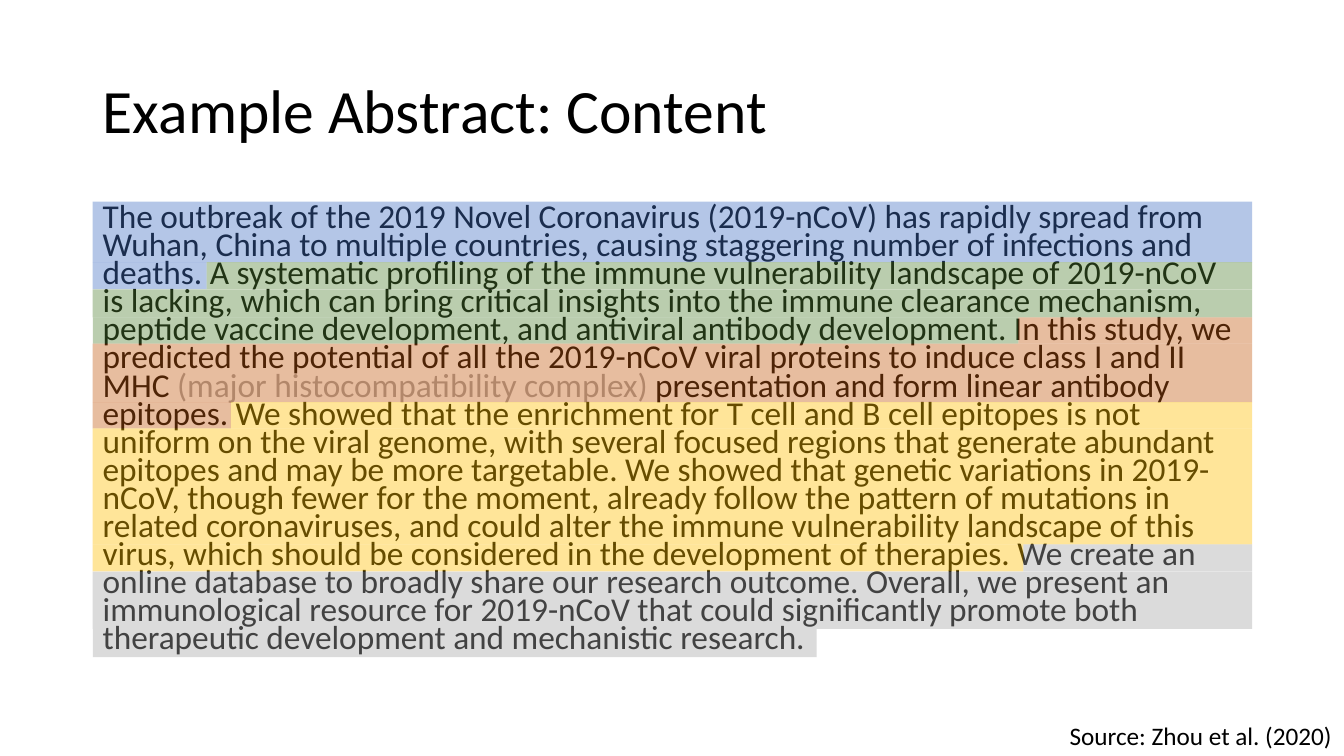
"""Build a slide that marks the content stages of an example abstract."""
from dataclasses import dataclass
from itertools import pairwise

from lxml import etree
from pptx import Presentation
from pptx.dml.color import RGBColor
from pptx.enum.shapes import MSO_SHAPE
from pptx.enum.text import MSO_ANCHOR, MSO_AUTO_SIZE, PP_ALIGN
from pptx.oxml.ns import qn
from pptx.slide import Slide
from pptx.text.text import TextFrame
from pptx.util import Inches, Pt

RECTANGLE = MSO_SHAPE.RECTANGLE
MIDDLE, TOP = MSO_ANCHOR.MIDDLE, MSO_ANCHOR.TOP
LEFT = PP_ALIGN.LEFT
NO_FIT, GROW = MSO_AUTO_SIZE.NONE, MSO_AUTO_SIZE.SHAPE_TO_FIT_TEXT

BLACK = RGBColor(0x00, 0x00, 0x00)
LIGHT_GRAY = RGBColor(0xA6, 0xA6, 0xA6)
BLUE = RGBColor(0x44, 0x72, 0xC4)
GREEN = RGBColor(0x54, 0x82, 0x35)
ORANGE = RGBColor(0xC5, 0x5A, 0x11)
GOLD = RGBColor(0xFF, 0xC0, 0x00)
GRAY = RGBColor(0xA5, 0xA5, 0xA5)

FONT = "Calibri"
OPACITY_PERCENT = 40
SLIDE_WIDTH, SLIDE_HEIGHT = 13.33, 7.5
COLUMN_LEFT, COLUMN_RIGHT = 0.92, 12.42
COLUMN_WIDTH = COLUMN_RIGHT - COLUMN_LEFT
BODY_TOP = 2.0

BACKGROUND_END, GAP_END, METHOD_END = 2.05, 10.1, 2.29
RESULT_END, ABSTRACT_END = 10.15, 8.1


@dataclass(frozen=True)
class Band:
    """A row of highlighting: its bottom, column edges and colours."""

    bottom: float
    edges: tuple[float, ...]
    colors: tuple[RGBColor, ...]


FULL_WIDTH = (COLUMN_LEFT, COLUMN_RIGHT)
BANDS = (
    Band(2.6, FULL_WIDTH, (BLUE,)),
    Band(2.87, (COLUMN_LEFT, BACKGROUND_END, COLUMN_RIGHT), (BLUE, GREEN)),
    Band(3.15, FULL_WIDTH, (GREEN,)),
    Band(3.41, (COLUMN_LEFT, GAP_END, COLUMN_RIGHT), (GREEN, ORANGE)),
    Band(3.99, FULL_WIDTH, (ORANGE,)),
    Band(4.25, (COLUMN_LEFT, METHOD_END, COLUMN_RIGHT), (ORANGE, GOLD)),
    Band(5.4, FULL_WIDTH, (GOLD,)),
    Band(5.67, (COLUMN_LEFT, RESULT_END, COLUMN_RIGHT), (GOLD, GRAY)),
    Band(6.24, FULL_WIDTH, (GRAY,)),
    Band(6.52, (COLUMN_LEFT, ABSTRACT_END), (GRAY,)),
)

ABSTRACT = (
    (
        "The outbreak of the 2019 Novel Coronavirus (2019-nCoV) has rapidly spread "
        "from Wuhan, China to multiple countries, causing staggering number of "
        "infections and deaths. A systematic profiling of the immune vulnerability "
        "landscape of 2019-nCoV is lacking, which can bring critical insights into "
        "the immune clearance mechanism, peptide vaccine development, and antiviral "
        "antibody development. In this study, we predicted the potential of all the "
        "2019-nCoV viral proteins to induce class I and II MHC ",
        BLACK,
    ),
    ("(major histocompatibility complex)", LIGHT_GRAY),
    (
        " presentation and form linear antibody epitopes. We showed that the "
        "enrichment for T cell and B cell epitopes is not uniform on the viral "
        "genome, with several focused regions that generate abundant epitopes and "
        "may be more targetable. We showed that genetic variations in 2019-nCoV, "
        "though fewer for the moment, already follow the pattern of mutations in "
        "related coronaviruses, and could alter the immune vulnerability landscape "
        "of this virus, which should be considered in the development of therapies. "
        "We create an online database to broadly share our research outcome. "
        "Overall, we present an immunological resource for 2019-nCoV that could "
        "significantly promote both therapeutic development and mechanistic "
        "research.",
        BLACK,
    ),
)


def write_text(
    frame: TextFrame,
    runs: tuple[tuple[str, RGBColor], ...],
    size: float,
    line_spacing: float,
    anchor: MSO_ANCHOR,
) -> None:
    """Fill a text frame with one left-aligned paragraph of coloured runs."""
    frame.vertical_anchor = anchor
    paragraph = frame.paragraphs[0]
    paragraph.alignment = LEFT
    paragraph.line_spacing = line_spacing
    paragraph.font.name = FONT
    paragraph.font.size = Pt(size)
    for text, color in runs:
        run = paragraph.add_run()
        run.text = text
        run.font.color.rgb = color


def add_title(slide: Slide) -> None:
    """Place and format the title placeholder."""
    title = slide.shapes.title
    title.left, title.top = Inches(COLUMN_LEFT), Inches(0.4)
    title.width, title.height = Inches(COLUMN_WIDTH), Inches(1.45)
    frame = title.text_frame
    frame.word_wrap = True
    frame.auto_size = NO_FIT
    write_text(frame, (("Example Abstract: Content", BLACK),), 44, 0.9, MIDDLE)


def add_abstract(slide: Slide) -> None:
    """Add the abstract as one wrapped paragraph."""
    box = slide.shapes.add_textbox(
        Inches(COLUMN_LEFT), Inches(BODY_TOP), Inches(COLUMN_WIDTH), Inches(4.76)
    )
    box.text_frame.word_wrap = True
    write_text(box.text_frame, ABSTRACT, 23.8, 0.7, TOP)


def add_highlight(
    slide: Slide, left: float, top: float, right: float, bottom: float, color: RGBColor
) -> None:
    """Add a translucent rectangle between the given edges."""
    shape = slide.shapes.add_shape(
        RECTANGLE, Inches(left), Inches(top), Inches(right - left), Inches(bottom - top)
    )
    shape.shadow.inherit = False
    shape.line.fill.background()
    shape.fill.solid()
    shape.fill.fore_color.rgb = color
    color_element = shape.fill._xPr.find(f".//{qn('a:srgbClr')}")
    alpha = etree.SubElement(color_element, qn("a:alpha"))
    alpha.set("val", str(OPACITY_PERCENT * 1000))


def add_highlights(slide: Slide) -> None:
    """Stack the highlight bands downwards over the abstract."""
    top = BODY_TOP
    for band in BANDS:
        for (left, right), color in zip(pairwise(band.edges), band.colors):
            add_highlight(slide, left, top, right, band.bottom, color)
        top = band.bottom


def add_source(slide: Slide) -> None:
    """Add the citation in the bottom right corner."""
    width, height = 2.82, 0.4
    box = slide.shapes.add_textbox(
        Inches(SLIDE_WIDTH - width),
        Inches(SLIDE_HEIGHT - height),
        Inches(width),
        Inches(height),
    )
    box.text_frame.word_wrap = False
    box.text_frame.auto_size = GROW
    write_text(box.text_frame, (("Source: Zhou et al. (2020)", BLACK),), 18, 1.0, TOP)


def main() -> None:
    """Build and save the presentation."""
    presentation = Presentation()
    presentation.slide_width = Inches(SLIDE_WIDTH)
    presentation.slide_height = Inches(SLIDE_HEIGHT)
    slide = presentation.slides.add_slide(presentation.slide_layouts[5])
    add_title(slide)
    add_abstract(slide)
    add_highlights(slide)
    add_source(slide)
    presentation.save("out.pptx")


if __name__ == "__main__":
    main()
